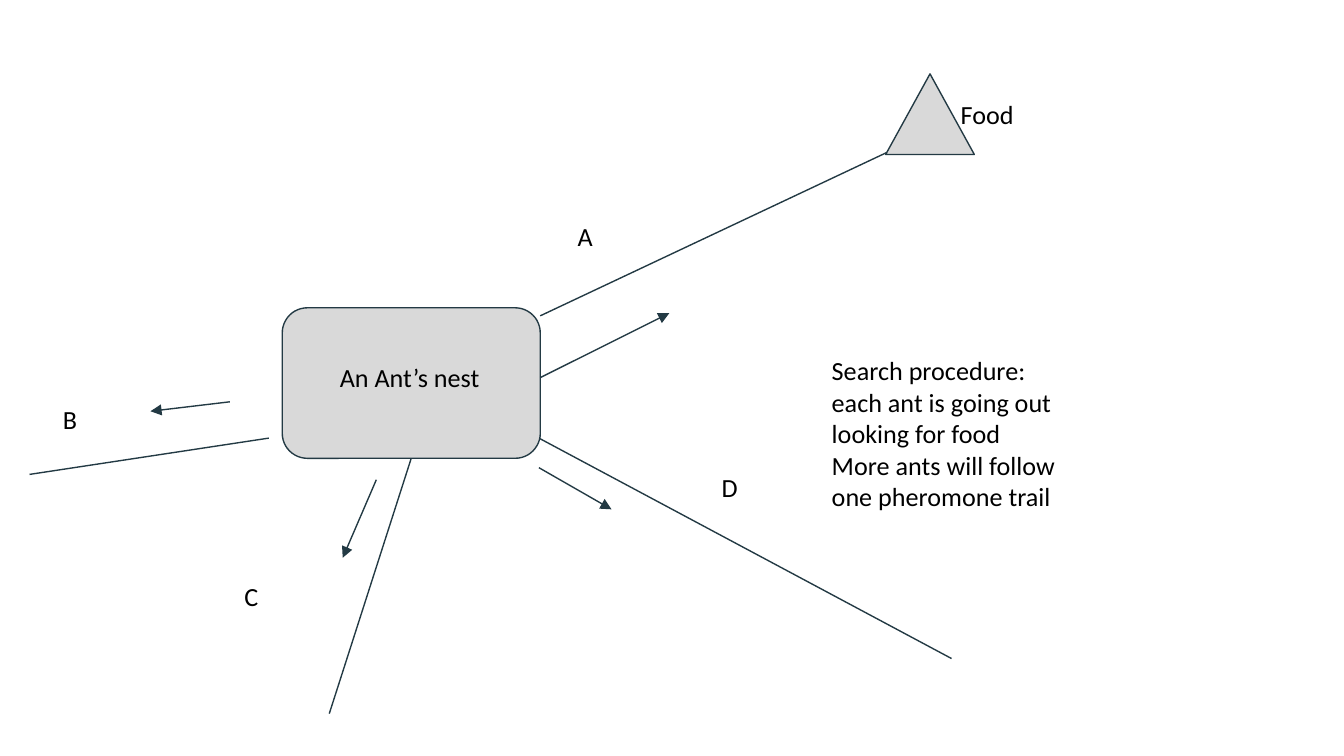
from lxml import etree
from pptx import Presentation
from pptx.dml.color import RGBColor
from pptx.enum.shapes import MSO_CONNECTOR, MSO_SHAPE
from pptx.oxml.ns import qn
from pptx.util import Inches, Pt

STRAIGHT = MSO_CONNECTOR.STRAIGHT
ROUNDED, TRIANGLE = MSO_SHAPE.ROUNDED_RECTANGLE, MSO_SHAPE.ISOSCELES_TRIANGLE

COLORS = {"fill": "D9D9D9", "line": "233A44", "text": "000000"}
FONT, SIZE = "Calibri", Pt(14)
WIDTH = Inches(10)
HEIGHT = WIDTH * 9 // 16
CELL = WIDTH // 100
LINE_WIDTH = Pt(0.75)

TRAILS = [
    (40.2, 23.5, 66.3, 11.2),
    (20, 32.6, 2.2, 35.3),
    (30.6, 34.1, 24.5, 53.1),
    (40.1, 32.6, 70.8, 49),
]
ARROWS = [
    (17.1, 29.9, 11.2, 30.6),
    (40.2, 28.1, 49.8, 23.3),
    (28, 35.7, 25.5, 41.5),
    (40.1, 34.8, 45.5, 37.9),
]
PLACES = [
    (ROUNDED, 21, 22.9, 19.2, 11.2),
    (TRIANGLE, 65.9, 5.5, 6.6, 6),
]
LABELS = [
    (["An Ant’s nest"], 24.3, 25.9, 15.9, 4.4),
    (["Food"], 70.5, 6.3, 13.8, 4.4),
    (["A"], 42, 15.4, 6.6, 4.4),
    (["B"], 3.7, 29, 32.8, 4.4),
    (["C"], 17.2, 42.2, 32.8, 4.4),
    (["D"], 52.7, 34.1, 32.8, 4.4),
    (["Search procedure: each ant is going out looking for food",
      "More ants will follow one pheromone trail"], 60.9, 25.4, 19.5, 13.8),
]


def cells(*values):
    return [round(v * CELL) for v in values]


def rgb(name):
    return RGBColor.from_string(COLORS[name])


def outline(shape):
    shape.line.color.rgb = rgb("line")
    shape.line.width = LINE_WIDTH


def add_place(s, kind, *box):
    sp = s.shapes.add_shape(kind, *cells(*box))
    sp.shadow.inherit = False
    sp.fill.solid()
    sp.fill.fore_color.rgb = rgb("fill")
    outline(sp)


def add_line(s, ends, arrow=False):
    line = s.shapes.add_connector(STRAIGHT, *cells(*ends))
    outline(line)
    props = line.element.spPr
    if arrow:
        etree.SubElement(props.find(qn("a:ln")), qn("a:tailEnd"), type="triangle")
    etree.SubElement(props, qn("a:effectLst"))


def add_label(s, paragraphs, *box):
    tf = s.shapes.add_textbox(*cells(*box)).text_frame
    tf.word_wrap = True
    tf.margin_left = tf.margin_right = tf.margin_top = tf.margin_bottom = CELL
    tf.text = "\n".join(paragraphs)
    for p in tf.paragraphs:
        for r in p.runs:
            r.font.name, r.font.size = FONT, SIZE
            r.font.color.rgb = rgb("text")


prs = Presentation()
prs.slide_width, prs.slide_height = WIDTH, HEIGHT
s = prs.slides.add_slide(prs.slide_layouts[6])
for ends in TRAILS:
    add_line(s, ends)
for place in PLACES:
    add_place(s, *place)
for label in LABELS:
    add_label(s, *label)
for ends in ARROWS:
    add_line(s, ends, arrow=True)
prs.save("out.pptx")
